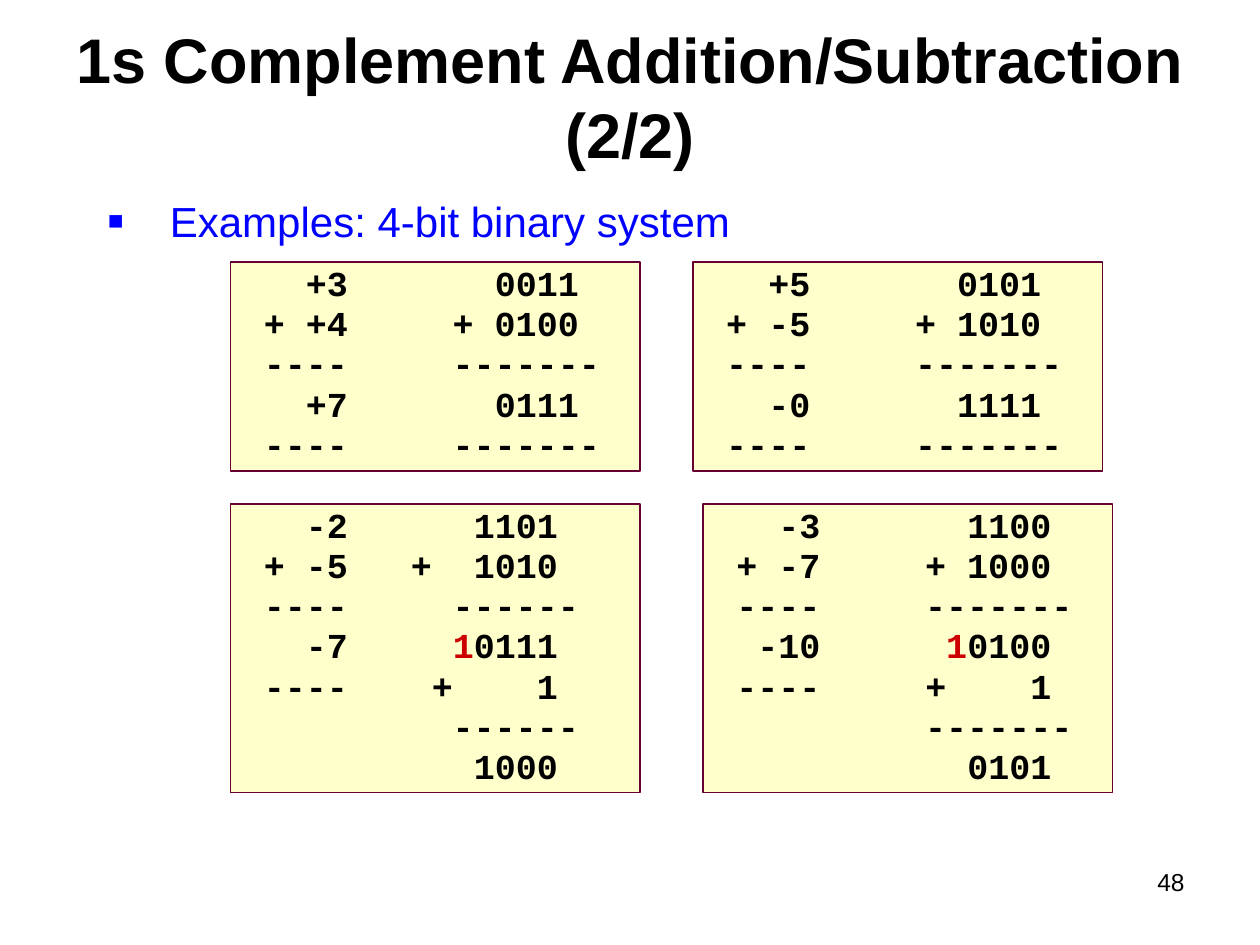
from lxml.etree import SubElement
from pptx import Presentation
from pptx.dml.color import RGBColor
from pptx.enum.shapes import MSO_SHAPE
from pptx.enum.text import MSO_ANCHOR, MSO_AUTO_SIZE, PP_ALIGN
from pptx.oxml.ns import qn
from pptx.util import Inches, Pt

COLORS = {"ink": "000000", "accent": "0000FF", "carry": "CC0000",
          "panel": "FFFFCC", "border": "660033"}
WIDTH, HEIGHT = 10, 7.5
CHARACTER = 1 / 6  # width in inches of one 20 pt Courier New character
PANEL_WIDTH = 3.25
CARRY = "^"  # the digit after this mark is the end-around carry

TITLE = {"name": "Arial", "size": Pt(36), "bold": True}
BODY = {"name": "Arial", "size": Pt(24)}
NUMBER = {"name": "Arial", "size": Pt(14)}
CODE = {"name": "Courier New", "size": Pt(20), "bold": True}

# Each cell is a text and the character column where it ends
LINE = ("----", 5)
WIDE_RULE = [LINE, ("-------", 17)]
NARROW_RULE = [LINE, ("------", 16)]

PANELS = [
    (1.83, 2.08, 1.66, [
        [("+3", 5), ("0011", 16)],
        [("+ +4", 5), ("+ 0100", 16)],
        WIDE_RULE,
        [("+7", 5), ("0111", 16)],
        WIDE_RULE]),
    (5.5, 2.08, 1.66, [
        [("+5", 5), ("0101", 16)],
        [("+ -5", 5), ("+ 1010", 16)],
        WIDE_RULE,
        [("-0", 5), ("1111", 16)],
        WIDE_RULE]),
    (1.83, 4, 2.29, [
        [("-2", 5), ("1101", 15)],
        [("+ -5", 5), ("+", 9), ("1010", 15)],
        NARROW_RULE,
        [("-7", 5), ("^10111", 15)],
        [LINE, ("+", 10), ("1", 15)],
        NARROW_RULE[1:],
        [("1000", 15)]]),
    (5.58, 4, 2.29, [
        [("-3", 5), ("1100", 16)],
        [("+ -7", 5), ("+ 1000", 16)],
        WIDE_RULE,
        [("-10", 5), ("^10100", 16)],
        [LINE, ("+", 11), ("1", 16)],
        WIDE_RULE[1:],
        [("0101", 16)]]),
]


def color(name):
    return RGBColor.from_string(COLORS[name])


def add_span(para, text, style, ink="ink"):
    span = para.add_run()
    span.text = text
    for key, value in style.items():
        setattr(span.font, key, value)
    span.font.color.rgb = color(ink)


def add_text(page, place, text, style, ink="ink", align=PP_ALIGN.LEFT,
             anchor=MSO_ANCHOR.TOP):
    box = page.shapes.add_textbox(*map(Inches, place))
    box.text_frame.word_wrap = True
    box.text_frame.vertical_anchor = anchor
    para = box.text_frame.paragraphs[0]
    para.alignment = align
    add_span(para, text, style, ink)
    return para


def add_bullet(para, ink):
    para.space_before = Pt(6)
    properties = para._p.get_or_add_pPr()
    properties.set("marL", str(Inches(0.5)))
    properties.set("indent", str(-Inches(0.5)))
    tint = SubElement(properties, qn("a:buClr"))
    SubElement(tint, qn("a:srgbClr"), val=COLORS[ink])
    SubElement(properties, qn("a:buSzPct"), val="120000")
    SubElement(properties, qn("a:buFont"), typeface="Arial")
    SubElement(properties, qn("a:buChar"), char="▪")


def add_sum_row(para, cells):
    """Write one line of a sum, each cell right-aligned at its column."""
    para.alignment = PP_ALIGN.LEFT
    para.line_spacing = 0.85
    para.space_before = Pt(2.5)
    stops = SubElement(para._p.get_or_add_pPr(), qn("a:tabLst"))
    for text, column in cells:
        position = str(Inches(column * CHARACTER))
        SubElement(stops, qn("a:tab"), pos=position, algn="r")
        if text.startswith(CARRY):
            add_span(para, "\t", CODE)
            add_span(para, text[1], CODE, "carry")
            add_span(para, text[2:], CODE)
        else:
            add_span(para, "\t" + text, CODE)


def add_panel(page, left, top, height, rows):
    place = map(Inches, (left, top, PANEL_WIDTH, height))
    panel = page.shapes.add_shape(MSO_SHAPE.RECTANGLE, *place)
    panel.shadow.inherit = False
    panel.fill.solid()
    panel.fill.fore_color.rgb = color("panel")
    panel.line.color.rgb = color("border")
    panel.line.width = Pt(1)
    frame = panel.text_frame
    frame.word_wrap = True
    frame.vertical_anchor = MSO_ANCHOR.TOP
    frame.auto_size = MSO_AUTO_SIZE.SHAPE_TO_FIT_TEXT
    for index, cells in enumerate(rows):
        para = frame.add_paragraph() if index else frame.paragraphs[0]
        add_sum_row(para, cells)


def main():
    deck = Presentation()
    deck.slide_width, deck.slide_height = Inches(WIDTH), Inches(HEIGHT)
    page = deck.slides.add_slide(deck.slide_layouts[6])

    # Page number, title and heading
    add_text(page, (7.17, 6.83, 2.33, 0.52), "48", NUMBER,
             align=PP_ALIGN.RIGHT)
    add_text(page, (WIDTH * 0.05, HEIGHT * 0.04, WIDTH * 0.9, 0.92),
             "1s Complement Addition/Subtraction (2/2)", TITLE,
             align=PP_ALIGN.CENTER, anchor=MSO_ANCHOR.MIDDLE)
    heading = add_text(page, (0.75, HEIGHT * 0.2, 8.92, 0.5),
                       "Examples: 4-bit binary system", BODY, "accent")
    add_bullet(heading, "accent")

    # Worked sums
    for panel in PANELS:
        add_panel(page, *panel)

    deck.save("out.pptx")


if __name__ == "__main__":
    main()
